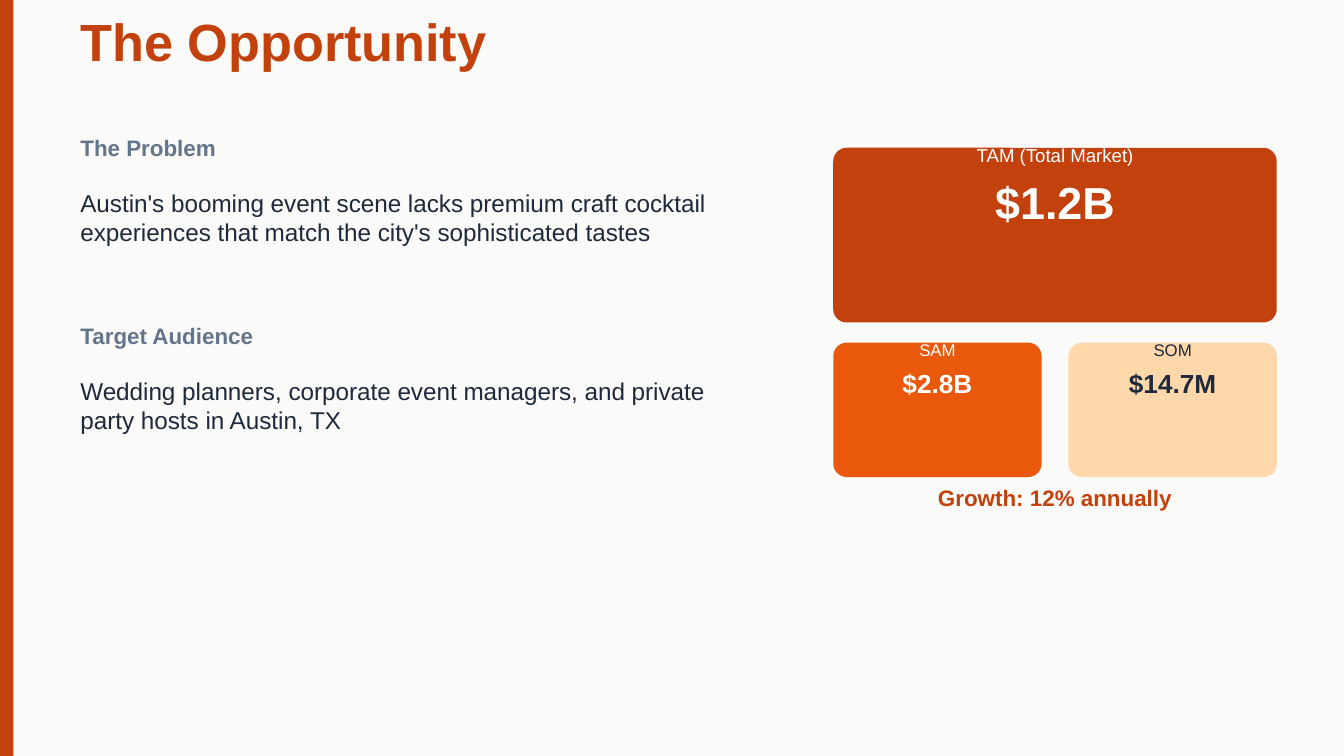
from dataclasses import dataclass

from pptx import Presentation
from pptx.dml.color import RGBColor
from pptx.enum.shapes import MSO_SHAPE
from pptx.enum.text import MSO_ANCHOR, MSO_AUTO_SIZE, PP_ALIGN
from pptx.util import Emu, Pt

RECT, ROUND_RECT = MSO_SHAPE.RECTANGLE, MSO_SHAPE.ROUNDED_RECTANGLE
TOP, MIDDLE = MSO_ANCHOR.TOP, MSO_ANCHOR.MIDDLE
LEFT, CENTER = PP_ALIGN.LEFT, PP_ALIGN.CENTER
NO_AUTOFIT = MSO_AUTO_SIZE.NONE

EMU_PER_PX = 4572  # 200 px to the inch
SLIDE_W, SLIDE_H = 2000, 1125
MARGIN, HEADING_W, BODY_W = 100, 1500, 1040
CARD_LEFT, CARD_W = 1240, 660
SMALL_W = 310
CORNER = 20

RUST, ORANGE, PEACH = "C2410C", "EA580C", "FED7AA"
INK, SLATE, WHITE, PAPER = "1E293B", "64748B", "FFFFFF", "FAFAF8"


@dataclass
class Section:
    y: int
    heading: str
    body: str
    body_h: int


@dataclass
class Card:
    x: int
    y: int
    w: int
    h: int
    fill: str
    color: str
    label: str
    label_size: int
    value: str
    value_size: int
    value_dy: int


SECTIONS = [
    Section(220, "The Problem",
            "Austin's booming event scene lacks premium craft cocktail "
            "experiences that match the city's sophisticated tastes", 200),
    Section(500, "Target Audience",
            "Wedding planners, corporate event managers, and private "
            "party hosts in Austin, TX", 160),
]

CARDS = [
    Card(CARD_LEFT, 220, CARD_W, 260, RUST, WHITE,
         "TAM (Total Market)", 10, "$1.2B", 24, 80),
    Card(CARD_LEFT, 510, SMALL_W, 200, ORANGE, WHITE,
         "SAM", 9, "$2.8B", 14, 60),
    Card(CARD_LEFT + CARD_W - SMALL_W, 510, SMALL_W, 200, PEACH, INK,
         "SOM", 9, "$14.7M", 14, 60),
]


def px(n: int) -> Emu:
    return Emu(n * EMU_PER_PX)


def rgb(color: str) -> RGBColor:
    return RGBColor.from_string(color)


def add_text(s, text: str, x: int, y: int, w: int, h: int = 0, *, size: int,
             color: str, bold: bool = False, align=LEFT, anchor=MIDDLE,
             sp=None) -> None:
    """Write into sp, or into a new text box; zero height centres text on y."""
    if sp is None:
        sp = s.shapes.add_textbox(px(x), px(y), px(w), px(h))
    else:
        sp.left, sp.top, sp.width, sp.height = px(x), px(y), px(w), px(h)
    tf = sp.text_frame
    tf.word_wrap = True
    tf.auto_size = NO_AUTOFIT
    tf.vertical_anchor = anchor
    p = tf.paragraphs[0]
    p.alignment = align
    r = p.add_run()
    r.text = text
    r.font.name = "Arial"
    r.font.size = Pt(size)
    r.font.bold = bold
    r.font.color.rgb = rgb(color)


def add_block(s, kind, x: int, y: int, w: int, h: int, fill: str):
    sp = s.shapes.add_shape(kind, px(x), px(y), px(w), px(h))
    sp.shadow.inherit = False
    sp.fill.solid()
    sp.fill.fore_color.rgb = rgb(fill)
    sp.line.fill.background()
    return sp


def add_section(s, sec: Section) -> None:
    add_text(s, sec.heading, MARGIN, sec.y, HEADING_W,
             size=12, color=SLATE, bold=True)
    add_text(s, sec.body, MARGIN, sec.y + 50, BODY_W, sec.body_h,
             size=13, color=INK, anchor=TOP)


def add_card(s, c: Card) -> None:
    sp = add_block(s, ROUND_RECT, c.x, c.y, c.w, c.h, c.fill)
    sp.adjustments[0] = CORNER / min(c.w, c.h)
    add_text(s, c.label, c.x, c.y + 10, c.w,
             size=c.label_size, color=c.color, align=CENTER)
    add_text(s, c.value, c.x, c.y + c.value_dy, c.w,
             size=c.value_size, color=c.color, bold=True, align=CENTER)


def main() -> None:
    prs = Presentation()
    prs.slide_width, prs.slide_height = px(SLIDE_W), px(SLIDE_H)
    s = prs.slides.add_slide(prs.slide_layouts[5])
    s.background.fill.solid()
    s.background.fill.fore_color.rgb = rgb(PAPER)

    add_block(s, RECT, 0, 0, 20, SLIDE_H, RUST)
    add_text(s, "The Opportunity", MARGIN, 60, HEADING_W,
             size=28, color=RUST, bold=True, sp=s.shapes.title)
    for sec in SECTIONS:
        add_section(s, sec)
    for card in CARDS:
        add_card(s, card)
    add_text(s, "Growth: 12% annually", CARD_LEFT, 740, CARD_W,
             size=12, color=RUST, bold=True, align=CENTER)

    prs.save("out.pptx")


if __name__ == "__main__":
    main()
